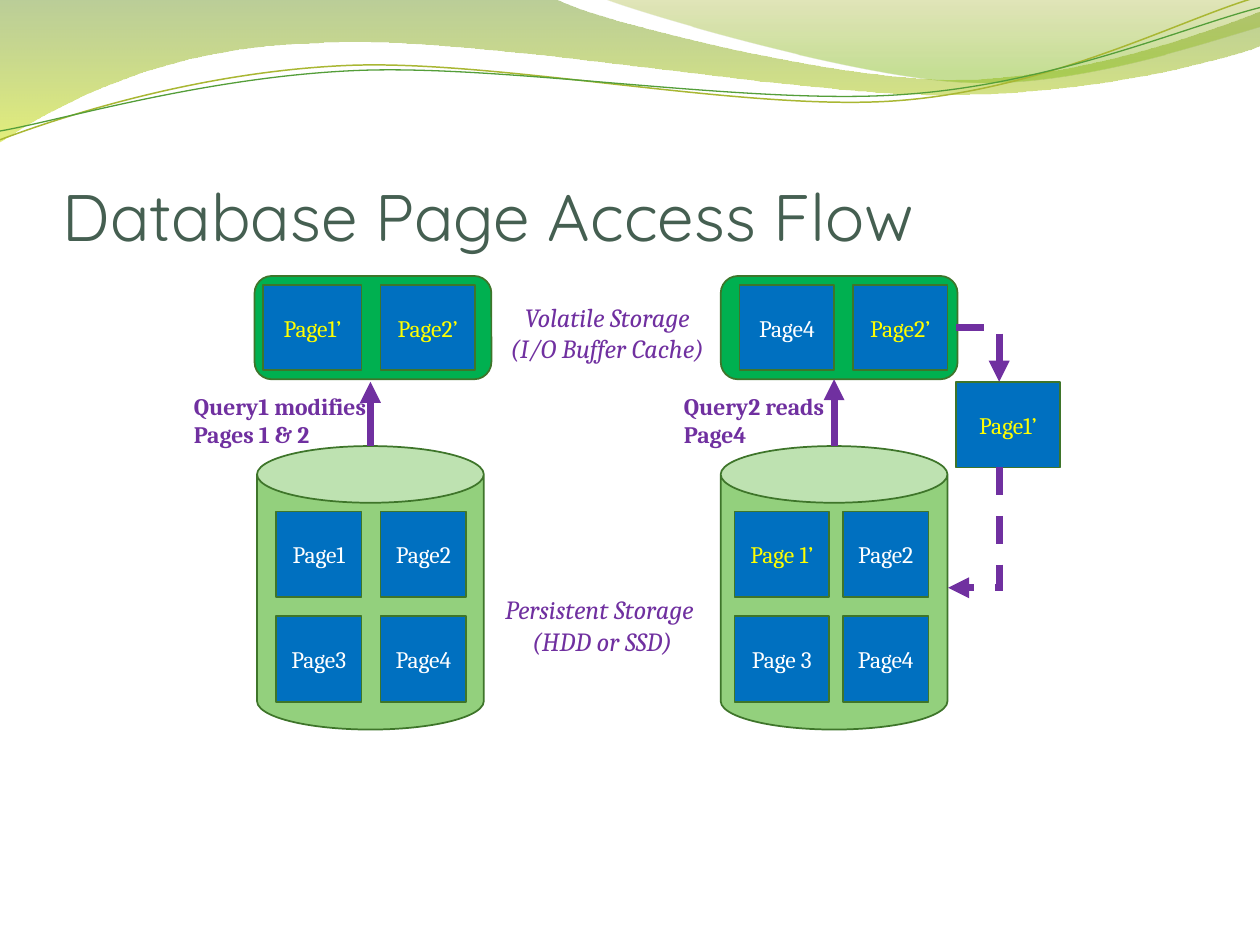
"""Build the slide that shows how database pages move between cache and disk."""
from dataclasses import dataclass

from lxml import etree
from pptx import Presentation
from pptx.dml.color import RGBColor
from pptx.enum.dml import MSO_LINE
from pptx.enum.shapes import MSO_CONNECTOR, MSO_SHAPE
from pptx.enum.text import MSO_ANCHOR, MSO_AUTO_SIZE, PP_ALIGN
from pptx.oxml.ns import qn
from pptx.util import Inches, Pt

CAN, RECT, ROUND = MSO_SHAPE.CAN, MSO_SHAPE.RECTANGLE, MSO_SHAPE.ROUNDED_RECTANGLE
STRAIGHT, ELBOW = MSO_CONNECTOR.STRAIGHT, MSO_CONNECTOR.ELBOW
LEFT, CENTER = PP_ALIGN.LEFT, PP_ALIGN.CENTER
MIDDLE, BOTTOM = MSO_ANCHOR.MIDDLE, MSO_ANCHOR.BOTTOM
FIT_SHAPE, NO_FIT = MSO_AUTO_SIZE.SHAPE_TO_FIT_TEXT, MSO_AUTO_SIZE.NONE
DASH = MSO_LINE.DASH

WHITE = RGBColor(0xFF, 0xFF, 0xFF)
YELLOW = RGBColor(0xFF, 0xFF, 0x00)
BLUE = RGBColor(0x00, 0x70, 0xC0)
PURPLE = RGBColor(0x70, 0x30, 0xA0)
SLATE = RGBColor(0x45, 0x5F, 0x51)
CACHE_GREEN = RGBColor(0x00, 0xB0, 0x50)
DISK_GREEN = RGBColor(0x93, 0xD0, 0x7D)
EDGE_GREEN = RGBColor(0x3E, 0x75, 0x2A)
WAVE_OLIVE = RGBColor(0xA9, 0xB7, 0x33)
WAVE_GREEN = RGBColor(0x54, 0x9E, 0x39)

BODY_FONT, TITLE_FONT = "Cambria", "Quicksand"
PAGE_HEIGHT = 0.68
CACHE_ROW, DISK_ROWS = 2.26, (4.06, 4.89)


@dataclass(frozen=True)
class Column:
    left: float
    width: float


@dataclass(frozen=True)
class Storage:
    disk_left: float
    cache_left: float
    disk_columns: tuple[Column, Column]
    cache_columns: tuple[Column, Column]
    disk_pages: tuple[tuple[str, str], tuple[str, str]]
    cache_pages: tuple[str, str]
    arrow_end: float


@dataclass(frozen=True)
class Label:
    box: tuple[float, float, float, float]
    text: str
    size: float
    color: RGBColor = PURPLE
    font: str = BODY_FONT
    align: PP_ALIGN = LEFT
    bold: bool = False
    italic: bool = False


@dataclass(frozen=True)
class Stop:
    position: float
    color: RGBColor
    opacity: int


@dataclass(frozen=True)
class Wave:
    """An outline of cubic chains, each joined to the next by a straight line."""

    chains: tuple[tuple[tuple[float, float], ...], ...]
    stops: tuple[Stop, ...] = ()
    line: RGBColor | None = None
    weight: float = 0


WAVES = (
    Wave((((0, 0),),
          ((4.4, -0.01), (4.75, 0.17), (6.63, 0.63), (7.58, 0.63), (8.53, 0.63), (9.58, 0.26), (10, 0.09)),
          ((10.01, 0.36), (9.83, 0.44), (8.69, 0.76), (7.46, 0.75), (6.22, 0.75), (3.81, 0.28), (2.57, 0.34),
           (1.29, 0.36), (0.46, 0.83), (-0.01, 1.13))),
         (Stop(0, RGBColor(0x69, 0x92, 0x1C), 45), Stop(1, RGBColor(0xCC, 0xE1, 0x0F), 55))),
    Wave((((4.79, -0.01), (5.09, 0.11), (6.82, 0.62), (7.68, 0.65), (8.55, 0.69), (9.61, 0.32), (10, 0.21)),
          ((10, 0),)),
         (Stop(0, RGBColor(0x9B, 0xAA, 0x1A), 30), Stop(0.8, RGBColor(0x81, 0xBA, 0x16), 45))),
    Wave((((0, 1.11), (0.48, 0.93), (1.57, 0.57), (2.76, 0.52), (3.95, 0.47), (5.92, 0.89), (7.12, 0.8),
           (8.33, 0.71), (9.38, 0.15), (9.97, -0.02)),), line=WAVE_OLIVE, weight=0.85),
    Wave((((0, 1.04), (0.47, 0.96), (1.63, 0.61), (2.83, 0.56), (4.02, 0.51), (5.97, 0.84), (7.17, 0.75),
           (8.36, 0.67), (9.41, 0.21), (10, 0.06)),), line=WAVE_GREEN, weight=0.75),
)
STORAGES = (
    Storage(2.04, 2.02, (Column(2.19, 0.68), Column(3.02, 0.68)), (Column(2.09, 0.78), Column(3.02, 0.75)),
            (("Page1", "Page2"), ("Page3", "Page4")), ("Page1’", "Page2’"), 3.03),
    Storage(5.72, 5.72, (Column(5.83, 0.75), Column(6.69, 0.68)), (Column(5.87, 0.75), Column(6.77, 0.75)),
            (("Page 1’", "Page2"), ("Page 3", "Page4")), ("Page4", "Page2’"), 3.01),
)
TITLE = Label((0.5, 0.77, 9, 1.25), "Database Page Access Flow", 37.5, SLATE, TITLE_FONT)
LABELS = (
    Label((1.44, 3.06, 1.58, 0.53), "Query1 modifies\nPages 1 & 2", 13.5, bold=True),
    Label((5.33, 3.06, 1.33, 0.53), "Query2 reads\nPage4", 13.5, bold=True),
    Label((3.92, 2.34, 1.8, 0.6), "Volatile Storage\n(I/O Buffer Cache)", 15, align=CENTER, italic=True),
    Label((3.84, 4.66, 1.88, 0.6), "Persistent Storage \n(HDD or SSD)", 15, align=CENTER, italic=True),
)


def bend(outline, wave: Wave) -> None:
    """Turn the segments within each chain into cubic curves."""
    segments = list(outline.iter(qn("a:lnTo")))
    start = 0
    for chain in wave.chains:
        for first in range(start, start + len(chain) - 1, 3):
            curve = etree.Element(qn("a:cubicBezTo"))
            segments[first].addprevious(curve)
            for segment in segments[first:first + 3]:
                curve.append(segment[0])
                segment.getparent().remove(segment)
        start += len(chain)


def draw_wave(shapes, wave: Wave) -> None:
    """Draw a gradient band or a thin wavy line."""
    points = [(Inches(x), Inches(y)) for chain in wave.chains for x, y in chain]
    builder = shapes.build_freeform(*points[0])
    builder.add_line_segments(points[1:], close=bool(wave.stops))
    shape = builder.convert_to_shape()
    bend(shape.element.spPr, wave)
    shape.shadow.inherit = False
    if wave.line is not None:
        shape.fill.background()
        shape.line.color.rgb = wave.line
        shape.line.width = Pt(wave.weight)
        return
    shape.line.fill.background()
    shape.fill.gradient()
    shape.fill.gradient_angle = 270
    for target, stop in zip(shape.fill.gradient_stops, wave.stops):
        target.color.rgb = stop.color
        target.position = stop.position
    for color, stop in zip(shape.element.spPr.iter(qn("a:srgbClr")), wave.stops):
        etree.SubElement(color, qn("a:alpha"), val=str(stop.opacity * 1000))


def write(frame, label: Label) -> None:
    """Set the wording and the look of a text frame."""
    frame.text = label.text
    for paragraph in frame.paragraphs:
        paragraph.alignment = label.align
        for run in paragraph.runs:
            run.font.name, run.font.size = label.font, Pt(label.size)
            run.font.bold, run.font.italic = label.bold, label.italic
            run.font.color.rgb = label.color


def draw_label(shapes, label: Label):
    """Draw a free-standing text and return its frame."""
    frame = shapes.add_textbox(*map(Inches, label.box)).text_frame
    frame.word_wrap = False
    frame.auto_size = FIT_SHAPE
    write(frame, label)
    return frame


def draw_block(shapes, kind: MSO_SHAPE, box: tuple[float, float, float, float], fill: RGBColor):
    """Draw a filled shape with the common green edge."""
    block = shapes.add_shape(kind, *map(Inches, box))
    block.shadow.inherit = False
    block.fill.solid()
    block.fill.fore_color.rgb = fill
    block.line.color.rgb = EDGE_GREEN
    block.line.width = Pt(1)
    return block


def draw_page(shapes, column: Column, top: float, text: str) -> None:
    """Draw a page, with yellow wording when it is modified."""
    box = (column.left, top, column.width, PAGE_HEIGHT)
    frame = draw_block(shapes, RECT, box, BLUE).text_frame
    frame.vertical_anchor = MIDDLE
    write(frame, Label(box, text, 13.5, YELLOW if text.endswith("’") else WHITE, align=CENTER))


def draw_storage(shapes, storage: Storage) -> None:
    """Draw a disk and its cache, each with their pages."""
    draw_block(shapes, CAN, (storage.disk_left, 3.54, 1.8, 2.25), DISK_GREEN)
    for top, texts in zip(DISK_ROWS, storage.disk_pages):
        for column, text in zip(storage.disk_columns, texts):
            draw_page(shapes, column, top, text)
    draw_block(shapes, ROUND, (storage.cache_left, 2.19, 1.88, 0.82), CACHE_GREEN)
    for column, text in zip(storage.cache_columns, storage.cache_pages):
        draw_page(shapes, column, CACHE_ROW, text)


def draw_arrow(shapes, kind: MSO_CONNECTOR, ends: tuple[float, float, float, float], turn: int = 0) -> None:
    """Draw a purple arrow; an elbow is dashed, has one corner and may be turned."""
    arrow = shapes.add_connector(kind, *map(Inches, ends))
    arrow.line.color.rgb = PURPLE
    arrow.line.width = Pt(4)
    properties = arrow.element.spPr
    if kind == ELBOW:
        arrow.line.dash_style = DASH
        properties.find(qn("a:prstGeom")).set("prst", "bentConnector2")
        properties.find(qn("a:xfrm")).set("rot", str(turn * 60000))
    stroke = properties.find(qn("a:ln"))
    etree.SubElement(stroke, qn("a:miter"), lim="800000")
    etree.SubElement(stroke, qn("a:tailEnd"), type="triangle")
    etree.SubElement(properties, qn("a:effectLst"))


def main() -> None:
    """Build and save the slide."""
    deck = Presentation()
    deck.slide_width, deck.slide_height = Inches(10), Inches(7.5)
    shapes = deck.slides.add_slide(deck.slide_layouts[6]).shapes
    for wave in WAVES:
        draw_wave(shapes, wave)
    title = draw_label(shapes, TITLE)
    title.word_wrap, title.auto_size = True, NO_FIT
    title.vertical_anchor = BOTTOM
    title.margin_left = title.margin_right = title.margin_bottom = 0
    for storage in STORAGES:
        draw_storage(shapes, storage)
    draw_page(shapes, Column(7.59, 0.82), 3.03, "Page1’")
    for label in LABELS:
        draw_label(shapes, label)
    for storage in STORAGES:
        center = storage.disk_left + 0.9
        draw_arrow(shapes, STRAIGHT, (center, 3.54, center, storage.arrow_end))
    draw_arrow(shapes, ELBOW, (7.59, 2.6, 7.93, 3.03))
    draw_arrow(shapes, ELBOW, (7.25, 3.98, 8.21, 4.39), turn=90)
    deck.save("out.pptx")


if __name__ == "__main__":
    main()
